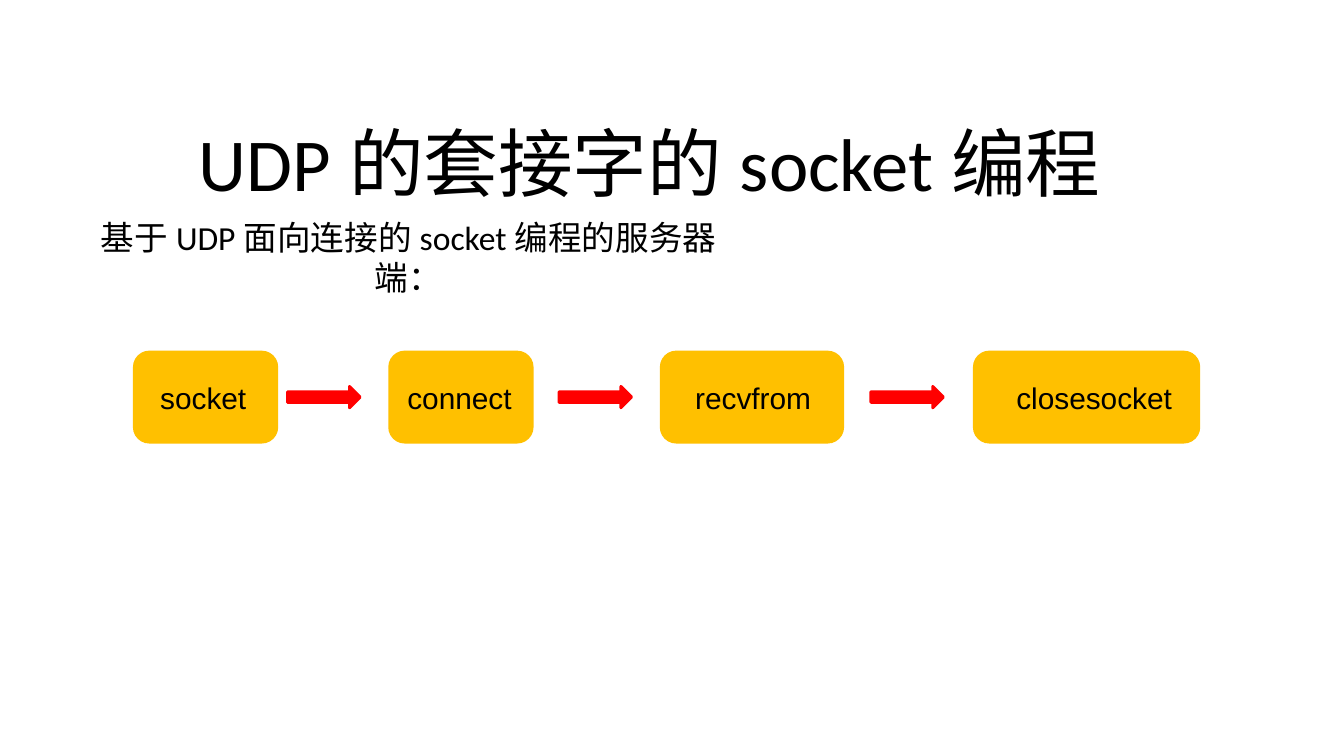
from dataclasses import dataclass

from lxml.etree import SubElement
from pptx import Presentation
from pptx.dml.color import RGBColor
from pptx.enum.shapes import MSO_SHAPE
from pptx.enum.text import MSO_ANCHOR, MSO_AUTO_SIZE, PP_ALIGN
from pptx.oxml.ns import qn
from pptx.shapes.autoshape import Shape
from pptx.slide import Slide
from pptx.util import Inches, Pt

COLORS = {"paper": "FFFFFF", "ink": "000000", "step": "FFC000", "arrow": "FF0000"}
SLIDE_WIDTH = Inches(10)
SLIDE_HEIGHT = SLIDE_WIDTH * 9 // 16
CELL = SLIDE_WIDTH // 100  # square grid cell, 100 columns across the slide
STEP_TOP, STEP_ROWS = 26.2, 6.7
ARROW_COLUMNS, ARROW_ROWS = 5.4, 1.6


@dataclass(frozen=True)
class Area:
    left: float
    top: float
    columns: float
    rows: float

    def lengths(self) -> tuple[int, ...]:
        cells = (self.left, self.top, self.columns, self.rows)
        return tuple(round(cell * CELL) for cell in cells)


@dataclass(frozen=True)
class Step:
    name: str
    left: float
    columns: float
    indent: float = 0


STEPS = [
    Step("socket", 10, 10.6, indent=0.6),
    Step("connect", 29, 10.6),
    Step("recvfrom", 49.2, 13.5, indent=1.2),
    Step("closesocket", 72.5, 16.7, indent=1.8),
]
ARROW_LEFTS = [21.4, 41.6, 64.8]


def color(name: str) -> RGBColor:
    return RGBColor.from_string(COLORS[name])


def write(shape: Shape, text: str, *, size: float, font: str,
          align: PP_ALIGN = PP_ALIGN.LEFT, indent: float = 0) -> None:
    """Fill a shape with one paragraph, indented by a number of columns."""
    frame = shape.text_frame
    frame.word_wrap = True
    frame.auto_size = MSO_AUTO_SIZE.NONE
    frame.vertical_anchor = MSO_ANCHOR.MIDDLE
    frame.margin_left = round((1 + indent) * CELL)
    para = frame.paragraphs[0]
    para.alignment = align
    span = para.add_run()
    span.text = text
    span.font.size = Pt(size)
    span.font.name = font
    span.font.color.rgb = color("ink")


def add_box(page: Slide, kind: MSO_SHAPE, area: Area, fill: str,
            line_width: float = 1.5) -> Shape:
    box = page.shapes.add_shape(kind, *area.lengths())
    box.shadow.inherit = False
    box.fill.solid()
    box.fill.fore_color.rgb = color(fill)
    box.line.color.rgb = color(fill)
    box.line.width = Pt(line_width)
    SubElement(box.line._get_or_add_ln(), qn("a:round"))
    return box


def main() -> None:
    deck = Presentation()
    deck.slide_width, deck.slide_height = SLIDE_WIDTH, SLIDE_HEIGHT
    page = deck.slides.add_slide(deck.slide_layouts[5])

    title = page.shapes.title
    title.left, title.top, title.width, title.height = Area(13.8, 7.3, 74.2, 9.4).lengths()
    write(title, "UDP的套接字的socket编程", size=40, font="Calibri")

    subtitle = add_box(page, MSO_SHAPE.RECTANGLE, Area(5.8, 16.7, 49.2, 4.8),
                       "paper", line_width=2)
    write(subtitle, "基于UDP面向连接的socket编程的服务器端：", size=18,
          font="Calibri", align=PP_ALIGN.CENTER)

    for step in STEPS:
        area = Area(step.left, STEP_TOP, step.columns, STEP_ROWS)
        box = add_box(page, MSO_SHAPE.FLOWCHART_ALTERNATE_PROCESS, area, "step")
        write(box, step.name, size=16, font="Arial", indent=step.indent)

    arrow_top = STEP_TOP + (STEP_ROWS - ARROW_ROWS) / 2
    for left in ARROW_LEFTS:
        area = Area(left, arrow_top, ARROW_COLUMNS, ARROW_ROWS)
        add_box(page, MSO_SHAPE.RIGHT_ARROW, area, "arrow")

    deck.save("out.pptx")


if __name__ == "__main__":
    main()
